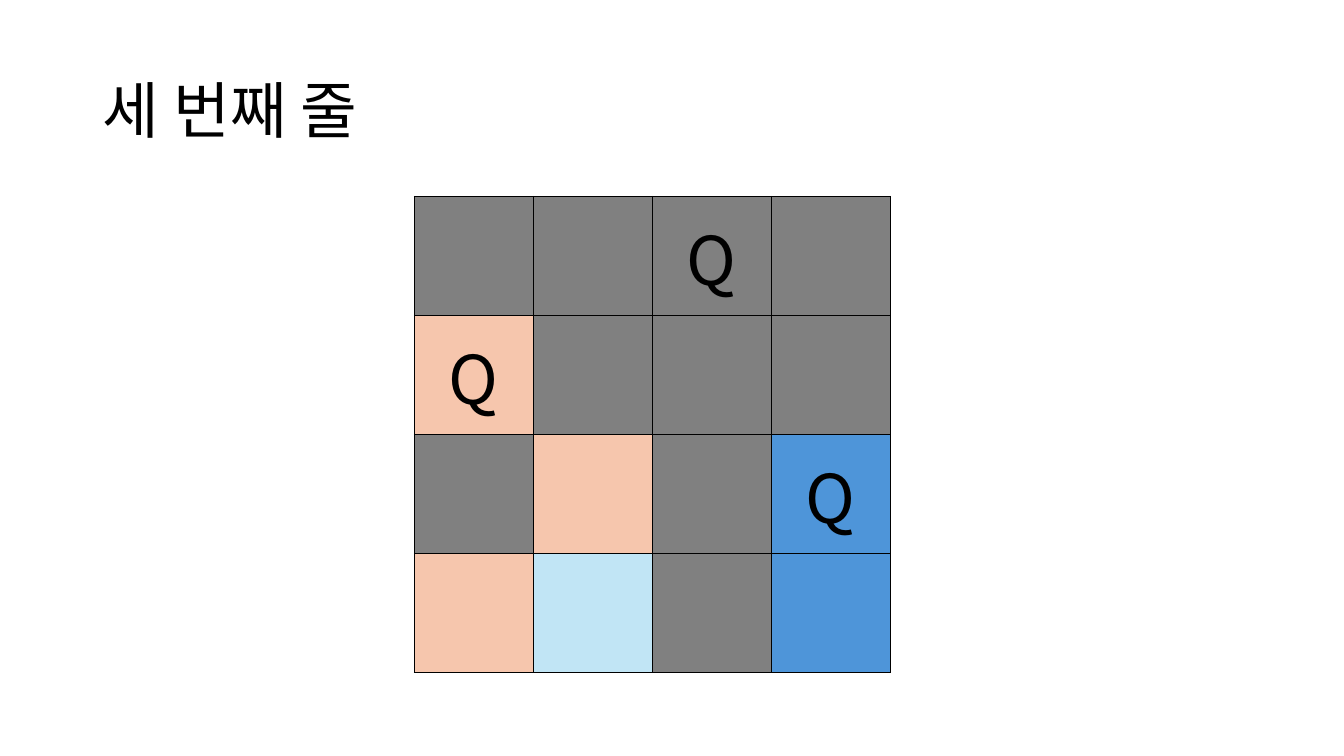
from lxml import etree
from pptx import Presentation
from pptx.dml.color import RGBColor
from pptx.enum.text import MSO_ANCHOR, PP_ALIGN
from pptx.oxml.ns import qn
from pptx.util import Inches, Pt

LEFT, CENTER = PP_ALIGN.LEFT, PP_ALIGN.CENTER
MIDDLE = MSO_ANCHOR.MIDDLE

BLACK = RGBColor(0x00, 0x00, 0x00)
GRAY = RGBColor(0x80, 0x80, 0x80)
PEACH = RGBColor(0xF6, 0xC6, 0xAD)
PALE_BLUE = RGBColor(0xC1, 0xE5, 0xF5)
BLUE = RGBColor(0x4E, 0x95, 0xD9)

SQUARE_COLORS = {"g": GRAY, "p": PEACH, "l": PALE_BLUE, "b": BLUE}
BOARD = ["gggg", "pggg", "gpgb", "plgb"]
QUEENS = {(0, 2), (1, 0), (2, 3)}
SQUARE_SIZE = 1.18


class BoardSlide:
    font_name = "Noto Sans CJK KR"
    border_width = Pt(1)

    def __init__(self, prs):
        self.slide = prs.slides.add_slide(prs.slide_layouts[5])

    def add_text(self, paragraph, text, size, align):
        run = paragraph.add_run()
        run.text = text
        paragraph.alignment = align
        style = {"name": self.font_name, "size": Pt(size), "bold": False}
        for key, value in style.items():
            setattr(run.font, key, value)
        run.font.color.rgb = BLACK
        east_asian = etree.SubElement(run.font._element, qn("a:ea"))
        east_asian.set("typeface", self.font_name)

    def title(self, text, left, top, width, height):
        heading = self.slide.shapes.title
        box = {"left": left, "top": top, "width": width, "height": height}
        for key, value in box.items():
            setattr(heading, key, Inches(value))
        heading.text_frame.vertical_anchor = MIDDLE
        paragraph = heading.text_frame.paragraphs[0]
        paragraph.line_spacing = 0.9
        self.add_text(paragraph, text, 44, LEFT)

    def border(self, cell):
        properties = cell._tc.get_or_add_tcPr()
        for position, side in enumerate(("lnL", "lnR", "lnT", "lnB")):
            line = etree.Element(qn(f"a:{side}"), w=str(int(self.border_width)))
            fill = etree.SubElement(line, qn("a:solidFill"))
            etree.SubElement(fill, qn("a:srgbClr"), val=str(BLACK))
            properties.insert(position, line)

    def board(self, left, top):
        count = len(BOARD)
        side = Inches(SQUARE_SIZE * count)
        squares = self.slide.shapes.add_table(
            count, count, Inches(left), Inches(top), side, side).table
        squares.first_row = squares.horz_banding = False
        for index in range(count):
            squares.columns[index].width = Inches(SQUARE_SIZE)
            squares.rows[index].height = Inches(SQUARE_SIZE)
        for row, colors in enumerate(BOARD):
            for column, color in enumerate(colors):
                square = squares.cell(row, column)
                square.vertical_anchor = MIDDLE
                square.fill.solid()
                square.fill.fore_color.rgb = SQUARE_COLORS[color]
                self.border(square)
                if (row, column) in QUEENS:
                    self.add_text(square.text_frame.paragraphs[0], "Q", 48, CENTER)


def main():
    prs = Presentation()
    prs.slide_width, prs.slide_height = Inches(13.33), Inches(7.5)
    third_row = BoardSlide(prs)

    # Heading
    third_row.title("세 번째 줄", 0.92, 0.4, 11.5, 1.45)

    # Chessboard with three queens placed
    third_row.board(4.11, 1.95)

    prs.save("out.pptx")


if __name__ == "__main__":
    main()
